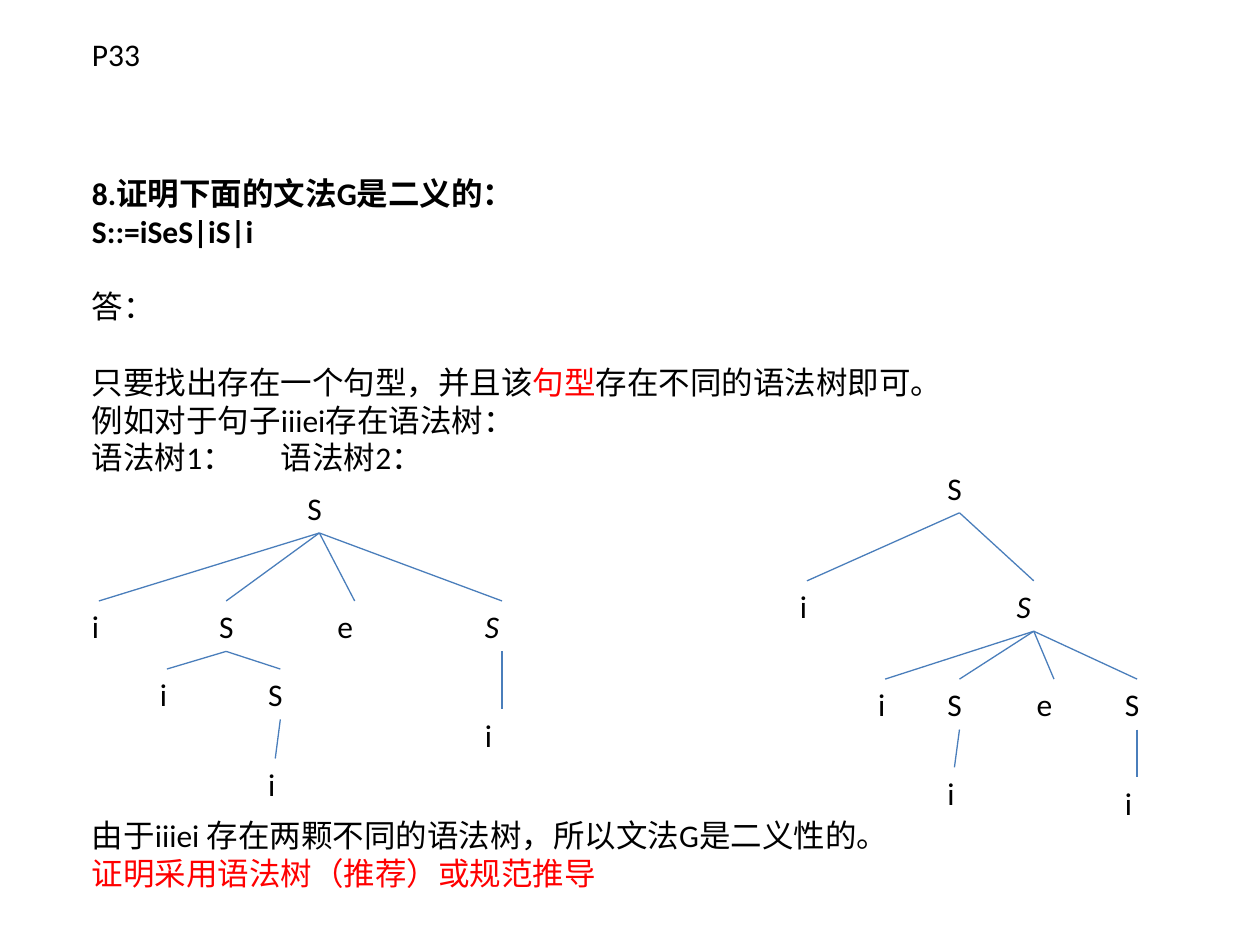
from lxml import etree
from pptx import Presentation
from pptx.dml.color import RGBColor
from pptx.enum.shapes import MSO_CONNECTOR
from pptx.enum.text import MSO_ANCHOR, MSO_AUTO_SIZE, PP_ALIGN
from pptx.oxml.ns import qn
from pptx.util import Inches, Pt

STRAIGHT = MSO_CONNECTOR.STRAIGHT
TOP = MSO_ANCHOR.TOP
FIXED = MSO_AUTO_SIZE.NONE
LEFT = PP_ALIGN.LEFT
TOP_SITE, BOTTOM_SITE = 0, 2

COLORS = {"text": "000000", "accent": "FF0000", "branch": "4A7EBB"}
FONT = {"name": "Calibri", "size": Pt(18), "bold": False, "italic": False}
FRAME = {
    "word_wrap": True,
    "auto_size": FIXED,
    "vertical_anchor": TOP,
    "margin_left": Inches(0.1),
    "margin_right": Inches(0.1),
    "margin_top": Inches(0.05),
    "margin_bottom": Inches(0.05),
}
LINE_HEIGHT = 21.6
NODE_HEIGHT = 0.4
SECOND_TREE_TAB = 5

TITLE_BOX = (0.63, 0.23, 8.75, 0.4)
BODY_BOX = (0.63, 1.33, 8.52, 5.8)
BOLD = {"bold": True}
ITALIC = {"italic": True}

# Each entry: lines skipped above, spans of (wording, colour), font changes.
BODY = [
    (0, [("8.证明下面的文法G是二义的：", "text")], BOLD),
    (0, [("S::=iSeS|iS|i", "text")], BOLD),
    (1, [("答：", "text")], {}),
    (1, [("只要找出存在一个句型，并且该", "text"), ("句型", "accent"),
         ("存在不同的语法树即可。", "text")], {}),
    (0, [("例如对于句子iiiei存在语法树：", "text")], {}),
    (0, [("语法树1：\t语法树2：", "text")], {}),
    (9, [("由于iiiei 存在两颗不同的语法树，所以文法G是二义性的。", "text")], {}),
    (0, [("证明采用语法树（推荐）或规范推导", "accent")], {}),
]


def node(label, left, top, width, children=(), changes=None):
    """Describe a tree node by its offset from the tree's corner."""
    return {"label": label, "box": (left, top, width, NODE_HEIGHT),
            "children": children, "changes": changes or {}}


FIRST_TREE = node("S", 1.71, 0, 0.39, [
    node("i", 0, 0.94, 0.31),
    node("S", 1.01, 0.94, 0.31, [
        node("i", 0.54, 1.48, 0.31),
        node("S", 1.4, 1.48, 0.39, [node("i", 1.4, 2.19, 0.31)]),
    ]),
    node("e", 1.95, 0.94, 0.47),
    node("S", 3.12, 0.94, 0.47, [node("i", 3.12, 1.8, 0.47)], ITALIC),
])
SECOND_TREE = node("S", 1.17, 0, 0.39, [
    node("i", 0, 0.94, 0.31),
    node("S", 1.72, 0.94, 0.47, [
        node("i", 0.62, 1.72, 0.31),
        node("S", 1.17, 1.72, 0.39, [node("i", 1.17, 2.42, 0.31)]),
        node("e", 1.88, 1.72, 0.47),
        node("S", 2.58, 1.72, 0.39, [node("i", 2.58, 2.5, 0.39)]),
    ], ITALIC),
])
TREES = [((0.63, 3.83), FIRST_TREE), ((6.25, 3.67), SECOND_TREE)]


def apply_format(target, values):
    """Set each attribute of the target from a dict."""
    for name, value in values.items():
        setattr(target, name, value)


def add_span(para, wording, color="text", changes=None):
    """Add formatted wording to a paragraph."""
    span = para.add_run()
    span.text = wording
    apply_format(span.font, {**FONT, **(changes or {})})
    span.font.color.rgb = RGBColor.from_string(COLORS[color])


def place_holder(holder, box):
    """Move a placeholder to its box and set its frame."""
    for name, length in zip(("left", "top", "width", "height"), box):
        setattr(holder, name, Inches(length))
    apply_format(holder.text_frame, FRAME)


def fill_title(page, box):
    """Write the page reference in the title placeholder."""
    title = page.shapes.title
    place_holder(title, box)
    para = title.text_frame.paragraphs[0]
    para.alignment = LEFT
    add_span(para, "P33")


def fill_body(page, box):
    """Write the question and its proof in the body placeholder."""
    body = page.placeholders[1]
    place_holder(body, box)
    frame = body.text_frame
    for index, (skipped, spans, changes) in enumerate(BODY):
        para = frame.add_paragraph() if index else frame.paragraphs[0]
        apply_format(para, {"alignment": LEFT, "line_spacing": Pt(LINE_HEIGHT),
                            "space_before": Pt(skipped * LINE_HEIGHT),
                            "space_after": Pt(0)})
        settings = para._p.get_or_add_pPr()
        settings.set("marL", "0")
        settings.set("indent", "0")
        etree.SubElement(settings, qn("a:buNone"))
        stops = etree.SubElement(settings, qn("a:tabLst"))
        etree.SubElement(stops, qn("a:tab"), pos=str(Inches(SECOND_TREE_TAB)), algn="l")
        for wording, color in spans:
            add_span(para, wording, color, changes)


def draw_branch(page, parent, child):
    """Join the bottom of a parent to the top of its child."""
    branch = page.shapes.add_connector(STRAIGHT, 0, 0, 0, 0)
    branch.begin_connect(parent, BOTTOM_SITE)
    branch.end_connect(child, TOP_SITE)
    branch.line.width = Pt(0.75)
    branch.line.color.rgb = RGBColor.from_string(COLORS["branch"])
    etree.SubElement(branch._element.spPr, qn("a:effectLst"))


def draw_tree(page, corner, tree):
    """Draw a syntax tree from its corner and return the box of its root."""
    left, top, width, height = tree["box"]
    box = page.shapes.add_textbox(Inches(corner[0] + left), Inches(corner[1] + top),
                                  Inches(width), Inches(height))
    apply_format(box.text_frame, FRAME)
    add_span(box.text_frame.paragraphs[0], tree["label"], changes=tree["changes"])
    for child in tree["children"]:
        draw_branch(page, box, draw_tree(page, corner, child))
    return box


def main():
    """Build the slide and save the deck."""
    deck = Presentation()
    deck.slide_width, deck.slide_height = Inches(10), Inches(7.5)
    page = deck.slides.add_slide(deck.slide_layouts[1])
    fill_title(page, TITLE_BOX)
    fill_body(page, BODY_BOX)
    for corner, tree in TREES:
        draw_tree(page, corner, tree)
    deck.save("out.pptx")


if __name__ == "__main__":
    main()
